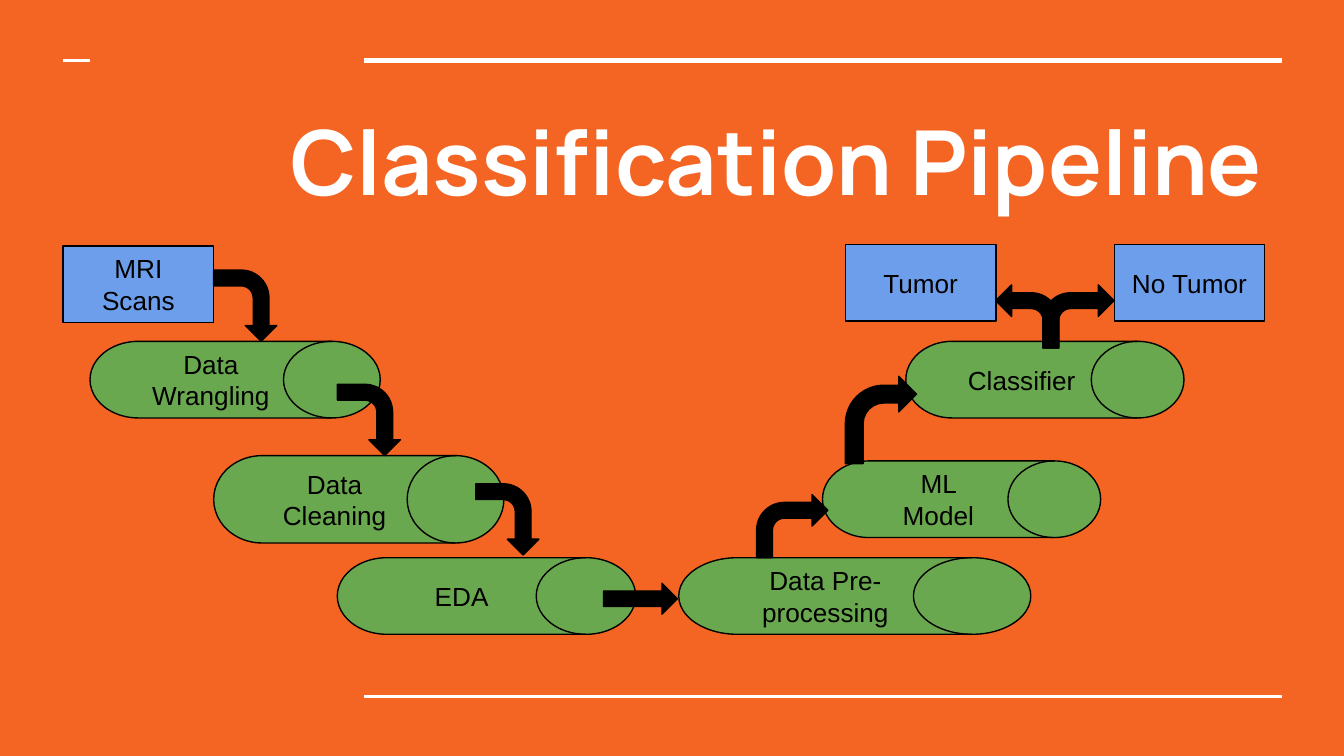
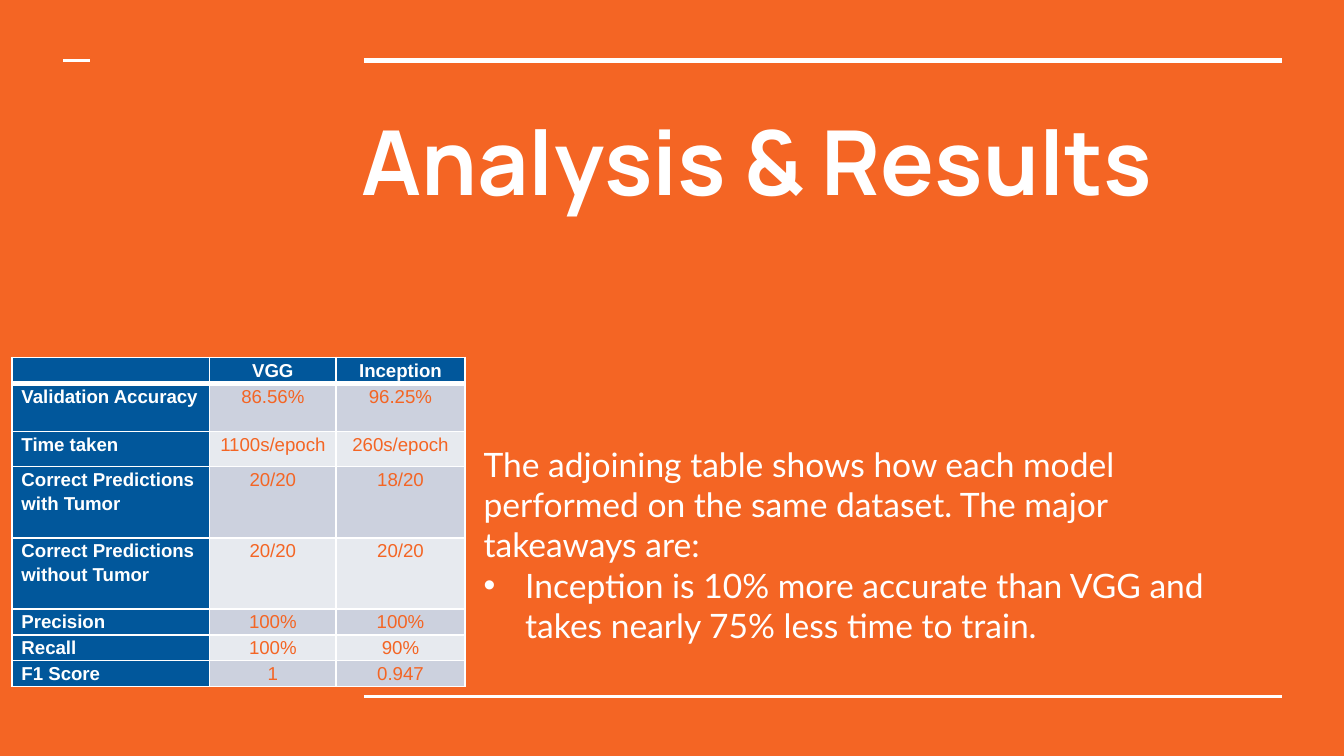
from dataclasses import dataclass

from lxml import etree
from pptx import Presentation, util as u
from pptx.dml.color import RGBColor
from pptx.enum import shapes, text
from pptx.oxml.ns import qn

ORANGE = RGBColor(0xF4, 0x65, 0x24)
WHITE = RGBColor(0xFF, 0xFF, 0xFF)
BLACK = RGBColor(0, 0, 0)
BLUE = RGBColor(0x6D, 0x9E, 0xEB)
GREEN = RGBColor(0x6A, 0xA8, 0x4F)
NAVY = RGBColor(0x01, 0x57, 0x9B)
BANDS = RGBColor(0xCC, 0xD1, 0xDE), RGBColor(0xE7, 0xEA, 0xEF)

RULES = [(2.71, 9.54, 0.45, 3), (2.71, 9.54, 5.18, 1.5), (0.47, 0.67, 0.45, 1.5)]

DATA_BOXES = [("MRI Scans", 0, 0.01), ("Tumor", 5.82, 0), ("No Tumor", 7.82, 0)]
STAGES = [
    ("Data Wrangling", 0.2, 0.72, 2.16, 0.57),
    ("Data Cleaning", 1.12, 1.57, 2.16, 0.65),
    ("EDA", 2.04, 2.33, 2.22, 0.57),
    ("Data Pre-processing", 4.58, 2.33, 2.62, 0.57),
    ("ML Model", 5.65, 1.61, 2.07, 0.57),
    ("Classifier", 6.27, 0.72, 2.07, 0.57),
]
DOWN_ARROWS = [(1.09, 0.22), (2.01, 1.07), (3.04, 1.81)]
UP_ARROWS = [(5.16, 1.86, 0.53, 0.47, 0.44), (5.82, 0.98, 0.53, 0.65, 0.54),
             (7.29, 0.3, 0.53, 0.47, 0.44)]

RESULTS = [
    ("", "VGG", "Inception"),
    ("Validation Accuracy", "86.56%", "96.25%"),
    ("Time taken", "1100s/epoch", "260s/epoch"),
    ("Correct Predictions with Tumor", "20/20", "18/20"),
    ("Correct Predictions without Tumor", "20/20", "20/20"),
    ("Precision", "100%", "100%"),
    ("Recall", "100%", "90%"),
    ("F1 Score", "1", "0.947"),
]
COLUMN_WIDTHS = [1.47, 0.94, 0.96]
ROW_HEIGHTS = [0.18, 0.36, 0.26, 0.53, 0.53, 0.18, 0.18, 0.18]


@dataclass
class Box:
    """A rectangle on the page, in inches."""
    left: float
    top: float
    width: float
    height: float

    def inside(self, left, top, width, height):
        """Return a box placed relative to this one."""
        return Box(self.left + left, self.top + top, width, height)

    def lengths(self):
        """Return left, top, width and height as lengths."""
        return [u.Inches(side) for side in (self.left, self.top, self.width, self.height)]


def style_runs(para, font, size, color, bold=False):
    """Give every run of a paragraph the same look."""
    for span in para.runs:
        span.font.name = font
        span.font.size = u.Pt(size)
        span.font.color.rgb = color
        span.font.bold = bold


def add_text(page, box, lines, font, size, bold=False, anchor=text.MSO_ANCHOR.TOP):
    """Add a wrapped white text box and return its paragraphs."""
    frame = page.shapes.add_textbox(*box.lengths()).text_frame
    frame.word_wrap = True
    frame.vertical_anchor = anchor
    frame.margin_left = frame.margin_right = u.Inches(0.1)
    frame.margin_top = frame.margin_bottom = u.Inches(0.1)
    frame.text = "\n".join(lines)
    for para in frame.paragraphs:
        style_runs(para, font, size, WHITE, bold)
    return frame.paragraphs


def add_page(deck, title, title_box):
    """Add an orange page with its white rules and title."""
    page = deck.slides.add_slide(deck.slide_layouts[6])
    page.background.fill.solid()
    page.background.fill.fore_color.rgb = ORANGE
    for start, end, height, weight in RULES:
        rule = page.shapes.add_connector(
            shapes.MSO_CONNECTOR.STRAIGHT,
            u.Inches(start), u.Inches(height), u.Inches(end), u.Inches(height))
        rule.line.color.rgb = WHITE
        rule.line.width = u.Pt(weight)
        etree.SubElement(rule._element.spPr, qn("a:effectLst"))
    add_text(page, title_box, [title], "Manrope", 48, bold=True)
    return page


def add_figure(page, kind, box, fill):
    """Add a flat preset shape with a thin black outline."""
    figure = page.shapes.add_shape(kind, *box.lengths())
    figure.shadow.inherit = False
    figure.fill.solid()
    figure.fill.fore_color.rgb = fill
    figure.line.color.rgb = BLACK
    figure.line.width = u.Pt(0.75)
    return figure


def add_step(page, kind, box, fill, label):
    """Add a labelled step of the pipeline."""
    frame = add_figure(page, kind, box, fill).text_frame
    frame.margin_left = frame.margin_right = u.Inches(0.1)
    frame.margin_top = frame.margin_bottom = u.Inches(0.1)
    frame.word_wrap = True
    frame.vertical_anchor = text.MSO_ANCHOR.MIDDLE
    frame.text = label
    para = frame.paragraphs[0]
    para.alignment = text.PP_ALIGN.CENTER
    style_runs(para, "Arial", 14, BLACK)


def add_bent_arrow(page, box, bend=0.44):
    """Add a black arrow that turns a corner."""
    arrow = add_figure(page, shapes.MSO_SHAPE.BENT_ARROW, box, BLACK)
    for index, value in enumerate((0.25, 0.25, 0.25, bend)):
        arrow.adjustments[index] = value
    return arrow


def draw_pipeline(page, box):
    """Draw the steps from scans to diagnosis and the arrows between them."""
    for label, left, top in DATA_BOXES:
        add_step(page, shapes.MSO_SHAPE.RECTANGLE,
                 box.inside(left, top, 1.12, 0.57), BLUE, label)
    for label, *place in STAGES:
        add_step(page, shapes.MSO_SHAPE.FLOWCHART_DIRECT_ACCESS_STORAGE,
                 box.inside(*place), GREEN, label)
    for left, top in DOWN_ARROWS:
        add_bent_arrow(page, box.inside(left, top, 0.53, 0.47)).rotation = 90
    for *place, bend in UP_ARROWS:
        add_bent_arrow(page, box.inside(*place), bend)
    mirrored = add_bent_arrow(page, box.inside(6.94, 0.3, 0.47, 0.47))
    mirrored._element.spPr.find(qn("a:xfrm")).set("flipH", "1")
    add_figure(page, shapes.MSO_SHAPE.RIGHT_ARROW,
               box.inside(4.02, 2.52, 0.55, 0.23), BLACK)


def add_border(cell, side, weight):
    """Draw one white border of a table cell."""
    border = etree.SubElement(cell._tc.get_or_add_tcPr(), qn(f"a:ln{side}"),
                              w=str(u.Pt(weight)))
    fill = etree.SubElement(border, qn("a:solidFill"))
    etree.SubElement(fill, qn("a:srgbClr"), val=str(WHITE))


def fill_cell(cell, value, row, column):
    """Write and style one cell of the results table."""
    heading = row == 0 or column == 0
    weights = {"L": 1, "R": 1, "T": 3 if row == 1 else 1, "B": 3 if row == 0 else 1}
    for side, weight in weights.items():
        add_border(cell, side, weight)
    cell.fill.solid()
    cell.fill.fore_color.rgb = NAVY if heading else BANDS[(row - 1) % 2]
    cell.margin_left = cell.margin_right = u.Inches(0.07)
    cell.margin_top = cell.margin_bottom = 0
    cell.text_frame.text = value
    para = cell.text_frame.paragraphs[0]
    para.line_spacing = 1.15
    para.alignment = text.PP_ALIGN.CENTER if column else text.PP_ALIGN.LEFT
    style_runs(para, "Arial", 10, WHITE if heading else ORANGE, heading)
    ending = etree.SubElement(para._p, qn("a:endParaRPr"), sz="1000")
    etree.SubElement(ending, qn("a:latin"), typeface="Arial")


def draw_results(page, box):
    """Draw the table that compares the models."""
    table = page.shapes.add_table(
        len(RESULTS), len(COLUMN_WIDTHS), *box.lengths()).table
    for column, width in zip(table.columns, COLUMN_WIDTHS):
        column.width = u.Inches(width)
    for row, height in zip(table.rows, ROW_HEIGHTS):
        row.height = u.Inches(height)
    for row, values in enumerate(RESULTS):
        for column, value in enumerate(values):
            fill_cell(table.cell(row, column), value, row, column)


def draw_takeaways(page, box):
    """Write the summary and its bulleted takeaway."""
    paras = add_text(page, box, [
        "The adjoining table shows how each model performed on the same dataset. "
        "The major takeaways are:",
        "Inception is 10% more accurate than VGG and takes nearly 75% less time to train.",
    ], "Lato", 18, anchor=text.MSO_ANCHOR.BOTTOM)
    props = paras[1]._p.get_or_add_pPr()
    props.set("marL", str(u.Inches(0.31)))
    props.set("indent", str(-u.Inches(0.31)))
    color = etree.SubElement(props, qn("a:buClr"))
    etree.SubElement(color, qn("a:srgbClr"), val=str(WHITE))
    etree.SubElement(props, qn("a:buFont"), typeface="Arial")
    etree.SubElement(props, qn("a:buChar"), char="•")


def main():
    """Build the deck and save it."""
    deck = Presentation()
    deck.slide_width = u.Inches(10)
    deck.slide_height = u.Inches(10 * 9 / 16)
    page = add_page(deck, "Classification Pipeline", Box(2.06, 0.69, 7.46, 1.69))
    draw_pipeline(page, Box(0.47, 1.82, 8.94, 2.9))
    page = add_page(deck, "Analysis & Results", Box(2.59, 0.69, 6.92, 1.69))
    draw_takeaways(page, Box(3.5, 2.53, 6.04, 2.37))
    draw_results(page, Box(0.09, 2.66, 3.37, 2.4))
    deck.save("out.pptx")


if __name__ == "__main__":
    main()
